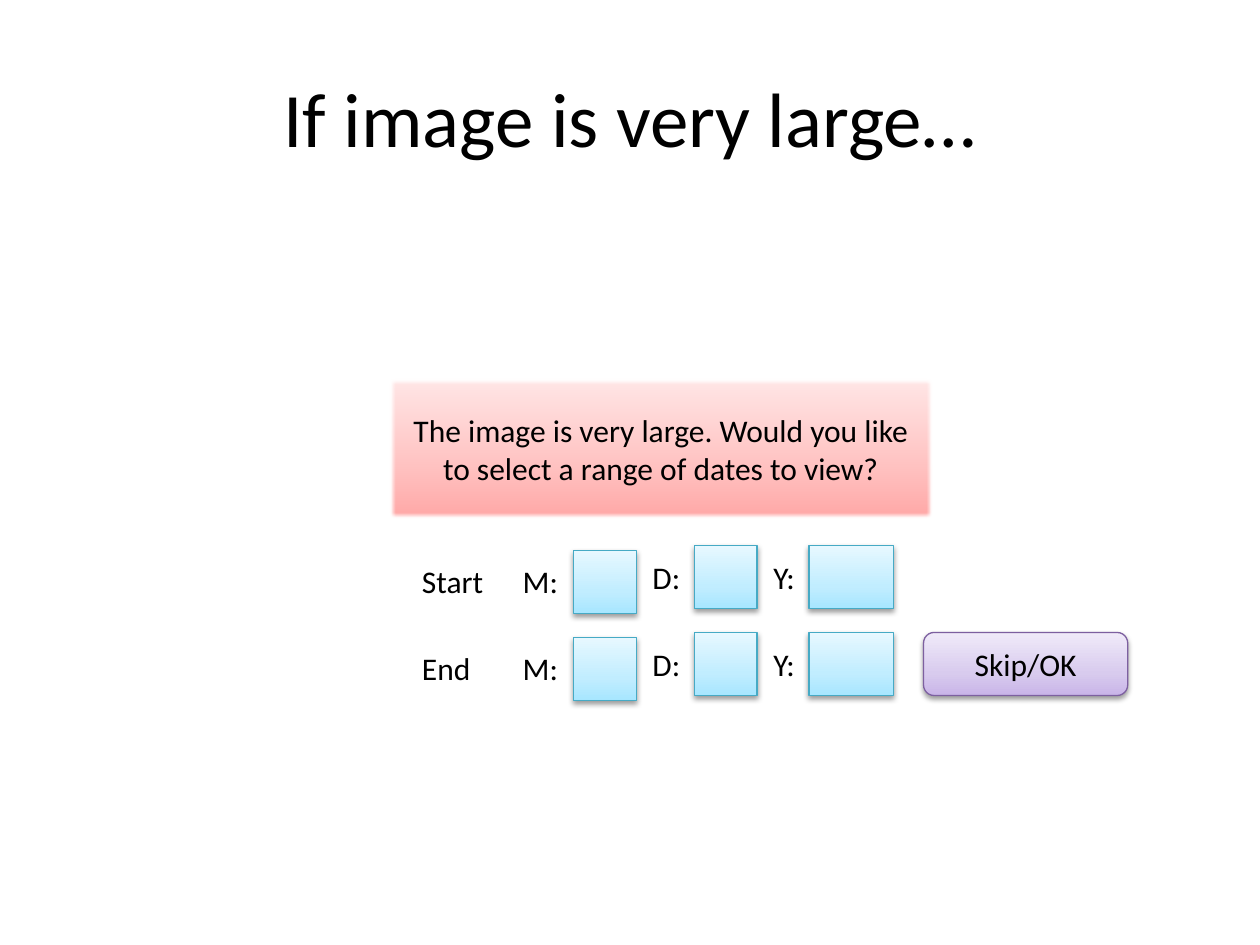
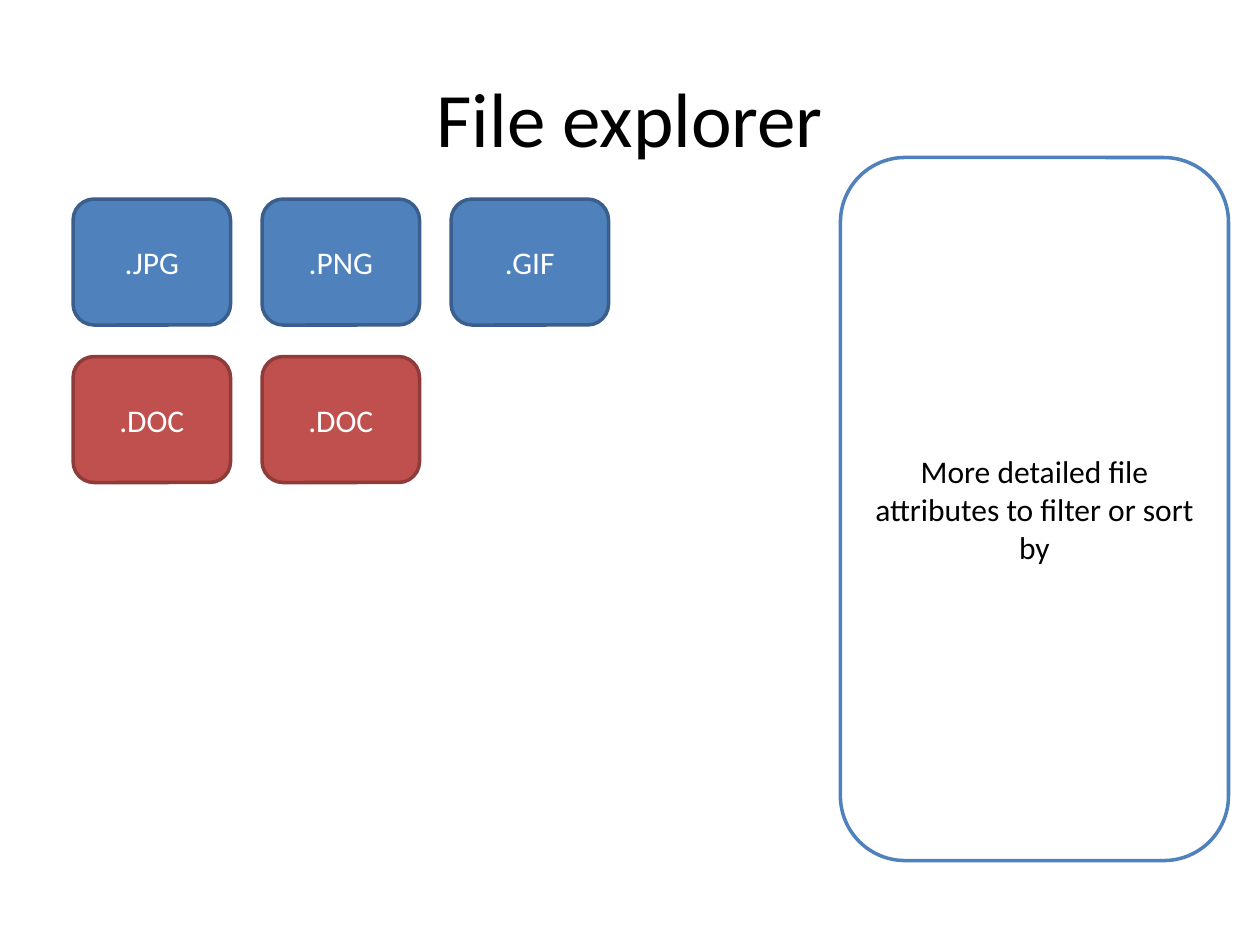
from lxml.etree import SubElement
from pptx import Presentation
from pptx.dml.color import RGBColor
from pptx.enum.shapes import MSO_SHAPE as Shape
from pptx.enum.text import MSO_ANCHOR as Anchor, PP_ALIGN as Align
from pptx.oxml.ns import qn
from pptx.util import Inches, Pt

FONT = "Calibri"
BLACK = RGBColor(0x00, 0x00, 0x00)
WHITE = RGBColor(0xFF, 0xFF, 0xFF)
BLUE = RGBColor(0x4F, 0x81, 0xBD)
DARK_BLUE = RGBColor(0x3A, 0x5F, 0x8C)
RED = RGBColor(0xC0, 0x50, 0x4D)
DARK_RED = RGBColor(0x8E, 0x3B, 0x39)
AQUA_LINE = RGBColor(0x46, 0xAA, 0xC5)
PURPLE_LINE = RGBColor(0x7D, 0x60, 0xA0)
# Gradients run from the bottom edge to the top edge.
PINK_FADE = [RGBColor(0xFF, 0xA6, 0xA5), RGBColor(0xFF, 0xC0, 0xBF), RGBColor(0xFF, 0xE7, 0xE7)]
AQUA_FADE = [RGBColor(0xA7, 0xE6, 0xFF), RGBColor(0xC1, 0xED, 0xFF), RGBColor(0xE7, 0xF8, 0xFF)]
PURPLE_FADE = [RGBColor(0xC9, 0xB5, 0xE8), RGBColor(0xD8, 0xCB, 0xEE), RGBColor(0xF0, 0xEA, 0xF9)]
FADE_STOPS = (0, 35000, 100000)


def write(shape, text, size=18, color=BLACK, align=Align.CENTER, anchor=Anchor.MIDDLE, wrap=True):
    """Put one styled run of text into a shape."""
    frame = shape.text_frame
    frame.word_wrap = wrap
    frame.vertical_anchor = anchor
    paragraph = frame.paragraphs[0]
    paragraph.alignment = align
    run = paragraph.add_run()
    run.text = text
    run.font.name = FONT
    run.font.size = Pt(size)
    run.font.color.rgb = color


def add_box(slide, kind, left, top, width, height, fill, line=None, weight=2):
    """Add a flat box, or a faded one with a shadow (soft edge if it has no line)."""
    shape = slide.shapes.add_shape(kind, Inches(left), Inches(top), Inches(width), Inches(height))
    shape.shadow.inherit = False
    if line is None:
        shape.line.fill.background()
    else:
        shape.line.color.rgb = line
        shape.line.width = Pt(weight)
    if isinstance(fill, RGBColor):
        shape.fill.solid()
        shape.fill.fore_color.rgb = fill
        return shape

    shape.fill.gradient()
    shape.fill.gradient_angle = 90
    properties = shape._element.spPr
    stops = properties.find(qn("a:gradFill")).find(qn("a:gsLst"))
    for stop in list(stops):
        stops.remove(stop)
    for position, color in zip(FADE_STOPS, fill):
        stop = SubElement(stops, qn("a:gs"), pos=str(position))
        SubElement(stop, qn("a:srgbClr"), val=str(color))

    effects = properties.find(qn("a:effectLst"))
    if line is None:
        SubElement(effects, qn("a:softEdge"), rad=str(Pt(2.5)))
    else:
        shadow = SubElement(effects, qn("a:outerShdw"), blurRad="40000", dist="20000",
                            dir="5400000", rotWithShape="0")
        shade = SubElement(shadow, qn("a:srgbClr"), val=str(BLACK))
        SubElement(shade, qn("a:alpha"), val="38000")
    return shape


presentation = Presentation()
presentation.slide_width = Inches(10)
presentation.slide_height = Inches(7.5)

slides = []
for title in ("If image is very large…", "File explorer"):
    slide = presentation.slides.add_slide(presentation.slide_layouts[6])
    title_box = slide.shapes.add_textbox(Inches(0.5), Inches(0.3), Inches(9), Inches(1.25))
    write(title_box, title, size=44)
    slides.append(slide)
range_slide, explorer_slide = slides

# Slide 1: date range form
question = add_box(range_slide, Shape.RECTANGLE, 3.08, 3, 4.33, 1.12, PINK_FADE)
write(question, "The image is very large. Would you like to select a range of dates to view?")

ROW_STEP = 0.69
# Each field: left and top of its box, box width
FIELDS = [(4.55, 4.37, 0.5), (5.51, 4.33, 0.5), (6.42, 4.33, 0.67)]
# Each label: text, left, top, width
FIELD_LABELS = [("M:", 4.05, 4.41, 0.49), ("D:", 5.08, 4.38, 0.43), ("Y:", 6.04, 4.38, 0.37)]
for row, (row_name, name_width) in enumerate([("Start", 0.69), ("End", 0.59)]):
    offset = row * ROW_STEP
    for left, top, width in FIELDS:
        add_box(range_slide, Shape.RECTANGLE, left, top + offset, width, 0.5,
                AQUA_FADE, AQUA_LINE, 0.75)
    for text, left, top, width in [(row_name, 3.25, 4.41, name_width)] + FIELD_LABELS:
        label = range_slide.shapes.add_textbox(
            Inches(left), Inches(top + offset), Inches(width), Inches(0.4))
        write(label, text, align=Align.LEFT, anchor=Anchor.TOP, wrap=False)

button = add_box(range_slide, Shape.ROUNDED_RECTANGLE, 7.33, 5.02, 1.62, 0.5,
                 PURPLE_FADE, PURPLE_LINE, 0.75)
write(button, "Skip/OK")

# Slide 2: file tiles and attribute panel
panel = add_box(explorer_slide, Shape.ROUNDED_RECTANGLE, 6.67, 1.25, 3.08, 5.58, WHITE, BLUE)
write(panel, "More detailed file attributes to filter or sort by")

TILE_ROWS = [
    ([".JPG", ".PNG", ".GIF"], BLUE, DARK_BLUE),
    ([".DOC", ".DOC"], RED, DARK_RED),
]
for row, (extensions, fill, line) in enumerate(TILE_ROWS):
    for column, extension in enumerate(extensions):
        tile = add_box(explorer_slide, Shape.ROUNDED_RECTANGLE, 0.58 + 1.5 * column,
                       1.58 + 1.25 * row, 1.25, 1, fill, line)
        write(tile, extension, color=WHITE)

presentation.save("out.pptx")
